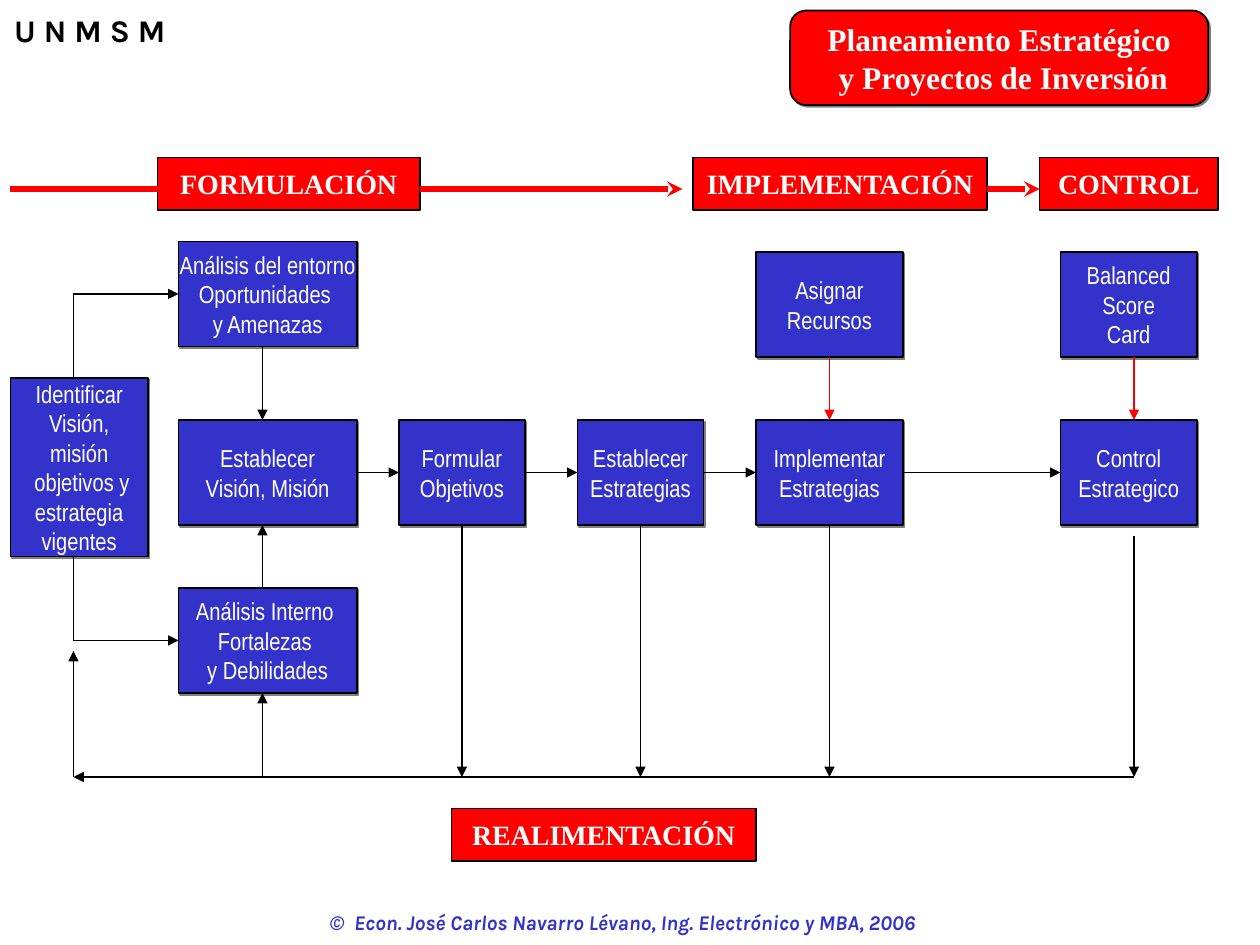
"""Build a slide with the strategic planning process flow."""
import dataclasses

import pptx
import pptx.dml.color
import pptx.enum.shapes
import pptx.enum.text
import pptx.oxml
import pptx.oxml.ns
import pptx.util

Pt = pptx.util.Pt
Shapes = pptx.enum.shapes.MSO_SHAPE
Anchor = pptx.enum.text.MSO_ANCHOR
Align = pptx.enum.text.PP_ALIGN


@dataclasses.dataclass(frozen=True)
class Theme:
    """Colours, fonts and type sizes of the slide."""
    red: str = "FF0000"
    blue: str = "3333CC"
    black: str = "000000"
    white: str = "FFFFFF"
    shadow: str = "808080"
    step_font: str = "Arial Narrow"
    phase_font: str = "Times New Roman"
    label_font: str = "Karla"
    title_size: int = 18
    phase_size: int = 16
    step_size: int = 14
    footer_size: int = 12


THEME = Theme()
STEP_HEIGHT = 60
MAIN_TOP = 240
MAIN_BOTTOM = MAIN_TOP + STEP_HEIGHT
MAIN_MIDDLE = MAIN_TOP + STEP_HEIGHT / 2
FEEDBACK_LEFT = 42
FEEDBACK_TOP = 444
ANALYSIS_LEFT = 102
ANALYSIS_AXIS = 150
ARROW_MIDDLE = 108

STEPS = [
    ("Identificar\nVisión,\nmisión\n objetivos y\nestrategia\nvigentes", 6, 216, 78.5, 102),
    ("Establecer\nVisión, Misión", ANALYSIS_LEFT, MAIN_TOP, 102, STEP_HEIGHT),
    ("Análisis del entorno\nOportunidades \ny Amenazas", ANALYSIS_LEFT, 138, 102, STEP_HEIGHT),
    ("Análisis Interno \nFortalezas \ny Debilidades", ANALYSIS_LEFT, 336, 102, STEP_HEIGHT),
    ("Formular\nObjetivos", 228, MAIN_TOP, 72, STEP_HEIGHT),
    ("Establecer\nEstrategias", 330, MAIN_TOP, 72, STEP_HEIGHT),
    ("Implementar\nEstrategias", 432, MAIN_TOP, 84, STEP_HEIGHT),
    ("Control\nEstrategico", 606, MAIN_TOP, 78, STEP_HEIGHT),
    ("Asignar\nRecursos", 432, 144, 84, STEP_HEIGHT),
    ("Balanced\nScore\nCard", 606, 144, 78, STEP_HEIGHT),
]
PHASES = [
    ("FORMULACIÓN", 90, 90, 150),
    ("IMPLEMENTACIÓN", 396, 90, 168),
    ("CONTROL", 594, 90, 102),
    ("REALIMENTACIÓN", 258, 462, 174),
]
STEP_GAPS = [(204, 228), (300, 330), (402, 432), (516, 606)]
RETURNS = [(264, MAIN_BOTTOM), (366, MAIN_BOTTOM), (474, MAIN_BOTTOM), (648, 306)]
SUPPORT_AXES = [474, 648]


def colour(value):
    """Turn a hex string into a colour."""
    return pptx.dml.color.RGBColor.from_string(value)


def write_text(shape, text, *, font, size, color, bold=False, italic=False,
               align=Align.CENTER, anchor=Anchor.MIDDLE):
    """Write one paragraph for each line of text in the given format."""
    frame = shape.text_frame
    frame.word_wrap = False
    frame.vertical_anchor = anchor
    for index, line in enumerate(text.split("\n")):
        para = frame.add_paragraph() if index else frame.paragraphs[0]
        para.alignment = align
        span = para.add_run()
        span.text = line
        span.font.name = font
        span.font.size = Pt(size)
        span.font.bold = bold
        span.font.italic = italic
        span.font.color.rgb = colour(color)


def add_shadow(shape):
    """Give a shape a hard grey shadow to the lower right."""
    effects = shape._element.spPr.find(pptx.oxml.ns.qn("a:effectLst"))
    effects.append(pptx.oxml.parse_xml(
        f'<a:outerShdw {pptx.oxml.ns.nsdecls("a")} dist="{Pt(1.4)}" dir="2700000" '
        f'algn="ctr" rotWithShape="0"><a:srgbClr val="{THEME.shadow}"/></a:outerShdw>'))


def add_box(page, left, top, width, height, *, fill, line_width, kind=Shapes.RECTANGLE,
            shadow=False):
    """Add a filled box with a black outline."""
    box = page.shapes.add_shape(kind, Pt(left), Pt(top), Pt(width), Pt(height))
    box.shadow.inherit = False
    box.fill.solid()
    box.fill.fore_color.rgb = colour(fill)
    box.line.color.rgb = colour(THEME.black)
    box.line.width = Pt(line_width)
    if shadow:
        add_shadow(box)
    return box


def add_label(page, text, left, top, width, height, **style):
    """Add a bold free-standing text."""
    label = page.shapes.add_textbox(Pt(left), Pt(top), Pt(width), Pt(height))
    write_text(label, text, font=THEME.label_font, bold=True, anchor=Anchor.TOP, **style)
    label.text_frame.auto_size = pptx.enum.text.MSO_AUTO_SIZE.SHAPE_TO_FIT_TEXT


def add_link(page, start, end, *, color=THEME.black, width=0.75, head="triangle"):
    """Add a straight line, with an arrowhead at its end if one is named."""
    link = page.shapes.add_connector(
        pptx.enum.shapes.MSO_CONNECTOR.STRAIGHT, *map(Pt, (*start, *end)))
    link.line.color.rgb = colour(color)
    link.line.width = Pt(width)
    namespace = pptx.oxml.ns.nsdecls("a")
    if head:
        link.line._get_or_add_ln().append(
            pptx.oxml.parse_xml(f'<a:tailEnd {namespace} type="{head}"/>'))
    link._element.spPr.append(pptx.oxml.parse_xml(f"<a:effectLst {namespace}/>"))


def add_boxes(page):
    """Add the title, the steps and the phases."""
    title = add_box(page, 451.5, 6, 239, 54, fill=THEME.red, line_width=1,
                    kind=Shapes.ROUNDED_RECTANGLE, shadow=True)
    title.adjustments[0] = 0.17
    write_text(title, "Planeamiento Estratégico\n y Proyectos de Inversión",
               font=THEME.phase_font, size=THEME.title_size, color=THEME.white, bold=True)
    for text, *bounds in STEPS:
        step = add_box(page, *bounds, fill=THEME.blue, line_width=1, shadow=True)
        write_text(step, text, font=THEME.step_font, size=THEME.step_size, color=THEME.white)
    for text, left, top, width in PHASES:
        phase = add_box(page, left, top, width, 30, fill=THEME.red, line_width=0.75)
        write_text(phase, text, font=THEME.phase_font, size=THEME.phase_size,
                   color=THEME.white, bold=True)


def add_links(page):
    """Add the arrows between phases, between steps and for feedback."""
    for start, end, head in [(90, 6, None), (240, 390, "stealth"), (564, 594, "stealth")]:
        add_link(page, (start, ARROW_MIDDLE), (end, ARROW_MIDDLE),
                 color=THEME.red, width=3, head=head)
    for edge, level in [(216, 168), (318, 366)]:
        add_link(page, (FEEDBACK_LEFT, edge), (FEEDBACK_LEFT, level), head=None)
        add_link(page, (FEEDBACK_LEFT, level), (ANALYSIS_LEFT, level))
    for start, end in [(198, MAIN_TOP), (336, MAIN_BOTTOM), (FEEDBACK_TOP, 396)]:
        add_link(page, (ANALYSIS_AXIS, start), (ANALYSIS_AXIS, end))
    for start, end in STEP_GAPS:
        add_link(page, (start, MAIN_MIDDLE), (end, MAIN_MIDDLE))
    for axis in SUPPORT_AXES:
        add_link(page, (axis, 204), (axis, MAIN_TOP), color=THEME.red)
    for axis, start in RETURNS:
        add_link(page, (axis, start), (axis, FEEDBACK_TOP))
    add_link(page, (648, FEEDBACK_TOP), (FEEDBACK_LEFT, FEEDBACK_TOP))
    add_link(page, (FEEDBACK_LEFT, FEEDBACK_TOP), (FEEDBACK_LEFT, 372))


def main():
    """Build and save the deck."""
    deck = pptx.Presentation()
    deck.slide_width, deck.slide_height = Pt(720), Pt(540)
    page = deck.slides.add_slide(deck.slide_layouts[6])
    add_label(page, "©  Econ. José Carlos Navarro Lévano, Ing. Electrónico y MBA, 2006",
              163.5, 516, 385, 22, size=THEME.footer_size, color=THEME.blue, italic=True)
    add_label(page, "U N M S M", 1, 3, 105, 29, size=THEME.title_size,
              color=THEME.black, align=Align.LEFT)
    add_boxes(page)
    add_links(page)
    deck.save("out.pptx")


if __name__ == "__main__":
    main()
